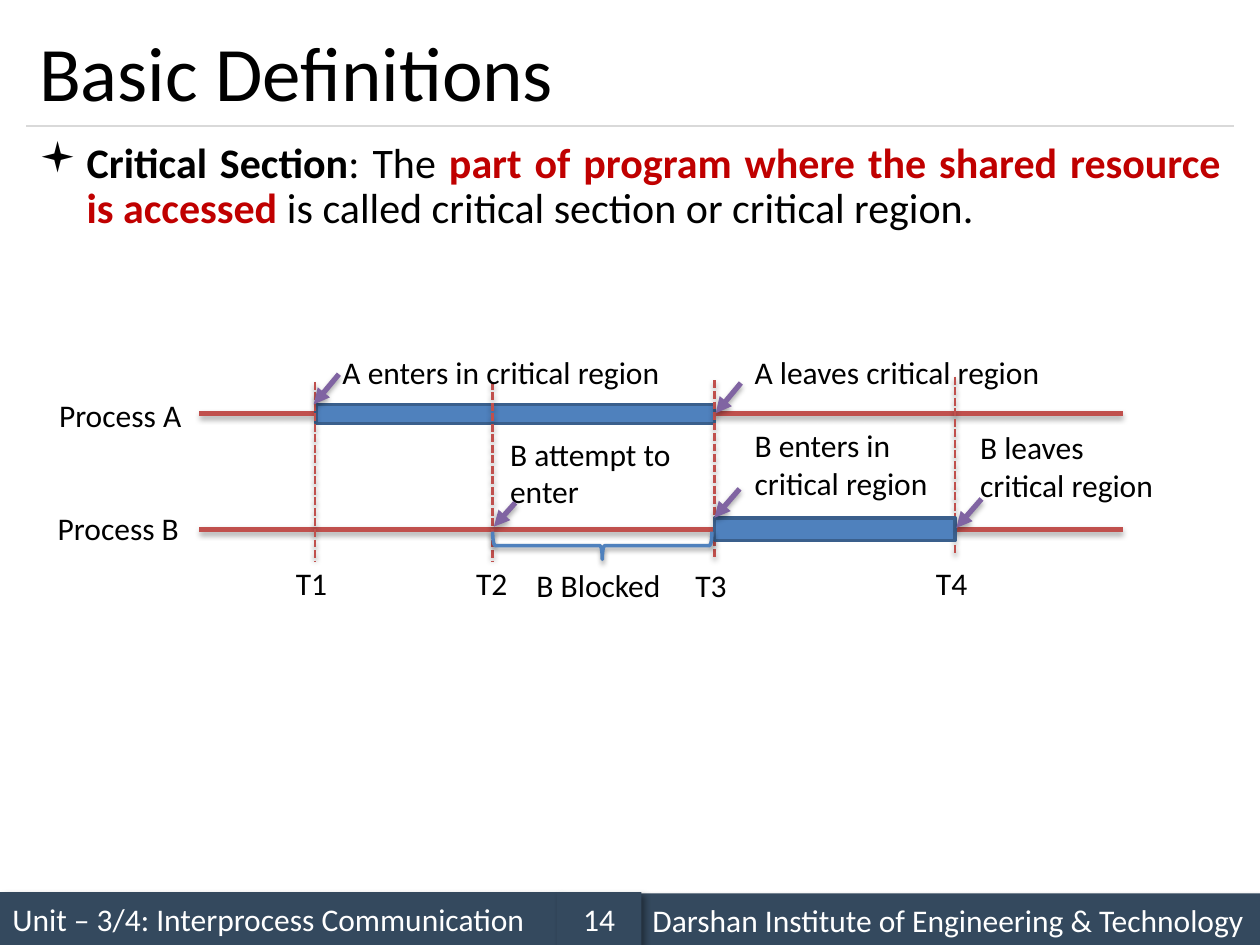
from lxml.etree import SubElement
from pptx import Presentation
from pptx.dml.color import RGBColor
from pptx.enum.dml import MSO_LINE
from pptx.enum.shapes import MSO_CONNECTOR, MSO_SHAPE
from pptx.enum.text import MSO_ANCHOR, MSO_AUTO_SIZE, PP_ALIGN
from pptx.oxml.ns import qn
from pptx.util import Inches, Pt

BLACK, WHITE, CRIMSON, NAVY = "000000", "FFFFFF", "C00000", "34495E"
RED, BLUE, DARK_BLUE, PURPLE, GREY = "C0504D", "4F81BD", "3A5F8C", "8064A2", "D9D9D9"
FOOTER_SHADOW = (40, 4, 3, 45)
LINE_SHADOW = (35, 3.1, 1.8, 90)

TITLE = "Basic Definitions"
DEFINITION = [
    ("Critical Section", BLACK, True),
    (": The ", BLACK, False),
    ("part of program where the shared resource is accessed", CRIMSON, True),
    (" is called critical section or critical region.", BLACK, False),
]
FOOTERS = [
    ("Unit – 3/4: Interprocess Communication", 0, 7.08, 4.42, PP_ALIGN.LEFT),
    ("Darshan Institute of Engineering & Technology", 5.08, 7.09, 4.92, PP_ALIGN.LEFT),
    ("14", 4.42, 7.08, 0.67, PP_ALIGN.CENTER),
]
PROCESS_LINES = [3.28, 4.2]
TIME_MARKS = [(2.5, 3.03, 4.45), (3.91, 3.03, 4.45), (5.67, 3.02, 4.43), (7.58, 2.99, 4.4)]
REGION_A = (2.51, 3.21, 3.16, 0.15)
REGION_B = (5.67, 4.11, 1.91, 0.18)
BRACE = (4.67, 3.46, 0.22, 1.74)
LABELS = [
    ("T1", 2.25, 4.43, 0.5, 0.4),
    ("T2", 3.68, 4.43, 0.5, 0.4),
    ("T3", 5.42, 4.44, 0.5, 0.4),
    ("T4", 7.33, 4.43, 0.5, 0.4),
    ("Process A", 0.37, 3.09, 1.21, 0.41),
    ("Process B", 0.36, 3.99, 1.21, 0.41),
    ("A enters in critical region", 2.62, 2.75, 2.77, 0.4),
    ("B attempt to enter", 3.95, 3.4, 1.59, 0.71),
    ("A leaves critical region", 5.89, 2.75, 2.52, 0.4),
    ("B enters in critical region", 5.89, 3.33, 1.58, 0.71),
    ("B leaves critical region", 7.68, 3.35, 1.59, 0.71),
    ("B Blocked", 4.16, 4.44, 1.24, 0.4),
]
ARROWS = [
    (2.69, 2.97, 2.49, 3.21),
    (4.09, 3.99, 3.92, 4.18),
    (5.88, 3.04, 5.68, 3.28),
    (5.87, 3.88, 5.67, 4.11),
    (7.79, 3.96, 7.59, 4.19),
]


def rgb(value):
    """Turn a hex string into a colour."""
    return RGBColor.from_string(value)


def add_effects(shape, shadow=None):
    """Replace the theme shadow by (opacity, blur, distance, angle) or by none."""
    effects = SubElement(shape._element.spPr, qn("a:effectLst"))
    if shadow:
        opacity, blur, distance, angle = shadow
        outer = SubElement(effects, qn("a:outerShdw"), blurRad=str(Pt(blur)),
                           dist=str(Pt(distance)), dir=str(angle * 60000),
                           algn="t", rotWithShape="0")
        color = SubElement(outer, qn("a:srgbClr"), val=BLACK)
        SubElement(color, qn("a:alpha"), val=str(opacity * 1000))


def add_run(paragraph, text, size=18, color=BLACK, bold=False):
    """Add formatted text to a paragraph."""
    run = paragraph.add_run()
    run.text = text
    run.font.name = "Calibri"
    run.font.size = Pt(size)
    run.font.bold = bold
    run.font.color.rgb = rgb(color)


def write(shape, text, align=PP_ALIGN.LEFT, anchor=MSO_ANCHOR.TOP,
          fit=MSO_AUTO_SIZE.NONE, **font):
    """Fill a shape with one paragraph and return that paragraph."""
    frame = shape.text_frame
    frame.word_wrap = True
    frame.auto_size = fit
    frame.vertical_anchor = anchor
    paragraph = frame.paragraphs[0]
    paragraph.alignment = align
    for part, color, bold in [(text, font.pop("color", BLACK), False)] if isinstance(text, str) else text:
        add_run(paragraph, part, color=color, bold=bold, **font)
    return paragraph


def add_line(slide, ends, color, width, shadow=None, dashed=False, arrow=False):
    """Draw a straight line between two points."""
    line = slide.shapes.add_connector(MSO_CONNECTOR.STRAIGHT, *map(Inches, ends))
    line.line.color.rgb = rgb(color)
    line.line.width = Pt(width)
    if dashed:
        line.line.dash_style = MSO_LINE.SQUARE_DOT
        line.line._ln.find(qn("a:prstDash")).set("val", "sysDash")
    if arrow:
        SubElement(line.line._ln, qn("a:tailEnd"), type="triangle")
    add_effects(line, shadow)


def add_box(slide, kind, place, fill=None, outline=None, shadow=None):
    """Draw a preset shape."""
    shape = slide.shapes.add_shape(kind, *map(Inches, place))
    if fill:
        shape.fill.solid()
        shape.fill.fore_color.rgb = rgb(fill)
    else:
        shape.fill.background()
    if outline:
        shape.line.color.rgb = rgb(outline)
        shape.line.width = Pt(2)
    else:
        shape.line.fill.background()
    add_effects(shape, shadow)
    return shape


def add_definition(slide):
    """Add the bulleted definition."""
    box = slide.shapes.add_textbox(*map(Inches, (0.21, 1.08, 9.58, 5.83)))
    paragraph = write(box, DEFINITION, align=PP_ALIGN.JUSTIFY, size=24)
    paragraph.line_spacing = 0.9
    properties = paragraph._p.get_or_add_pPr()
    properties.set("marL", str(Inches(0.38)))
    properties.set("indent", str(-Inches(0.38)))
    SubElement(properties, qn("a:buFont"), typeface="Wingdings")
    SubElement(properties, qn("a:buChar"), char="▪")


def add_timeline(slide):
    """Draw the two processes with their critical regions and events."""
    for y in PROCESS_LINES:
        add_line(slide, (1.58, y, 8.91, y), RED, 3, LINE_SHADOW)
    add_box(slide, MSO_SHAPE.RECTANGLE, REGION_A, BLUE, DARK_BLUE)
    for x, top, bottom in TIME_MARKS:
        add_line(slide, (x, top, x, bottom), RED, 1.5, LINE_SHADOW, dashed=True)
    add_box(slide, MSO_SHAPE.RECTANGLE, REGION_B, BLUE, DARK_BLUE)
    for text, *place in LABELS:
        box = slide.shapes.add_textbox(*map(Inches, place))
        write(box, text, fit=MSO_AUTO_SIZE.SHAPE_TO_FIT_TEXT)
    for ends in ARROWS:
        add_line(slide, ends, PURPLE, 3, LINE_SHADOW, arrow=True)
    brace = add_box(slide, MSO_SHAPE.RIGHT_BRACE, BRACE, outline=BLUE, shadow=(38, 3.1, 1.6, 90))
    brace.rotation = 90


def main():
    """Build and save the slide."""
    presentation = Presentation()
    presentation.slide_width, presentation.slide_height = Inches(10), Inches(7.5)
    slide = presentation.slides.add_slide(presentation.slide_layouts[5])
    title = slide.shapes.title
    title.left, title.top, title.width, title.height = map(Inches, (0.21, 0.12, 9.58, 0.88))
    write(title, TITLE, anchor=MSO_ANCHOR.MIDDLE, size=44)
    for text, left, top, width, align in FOOTERS:
        bar = add_box(slide, MSO_SHAPE.RECTANGLE, (left, top, width, 0.42), NAVY,
                      shadow=FOOTER_SHADOW)
        write(bar, text, align=align, anchor=MSO_ANCHOR.MIDDLE, color=WHITE)
    add_line(slide, (0.21, 1, 9.79, 1), GREY, 0.75)
    add_definition(slide)
    add_timeline(slide)
    presentation.save("out.pptx")


if __name__ == "__main__":
    main()
